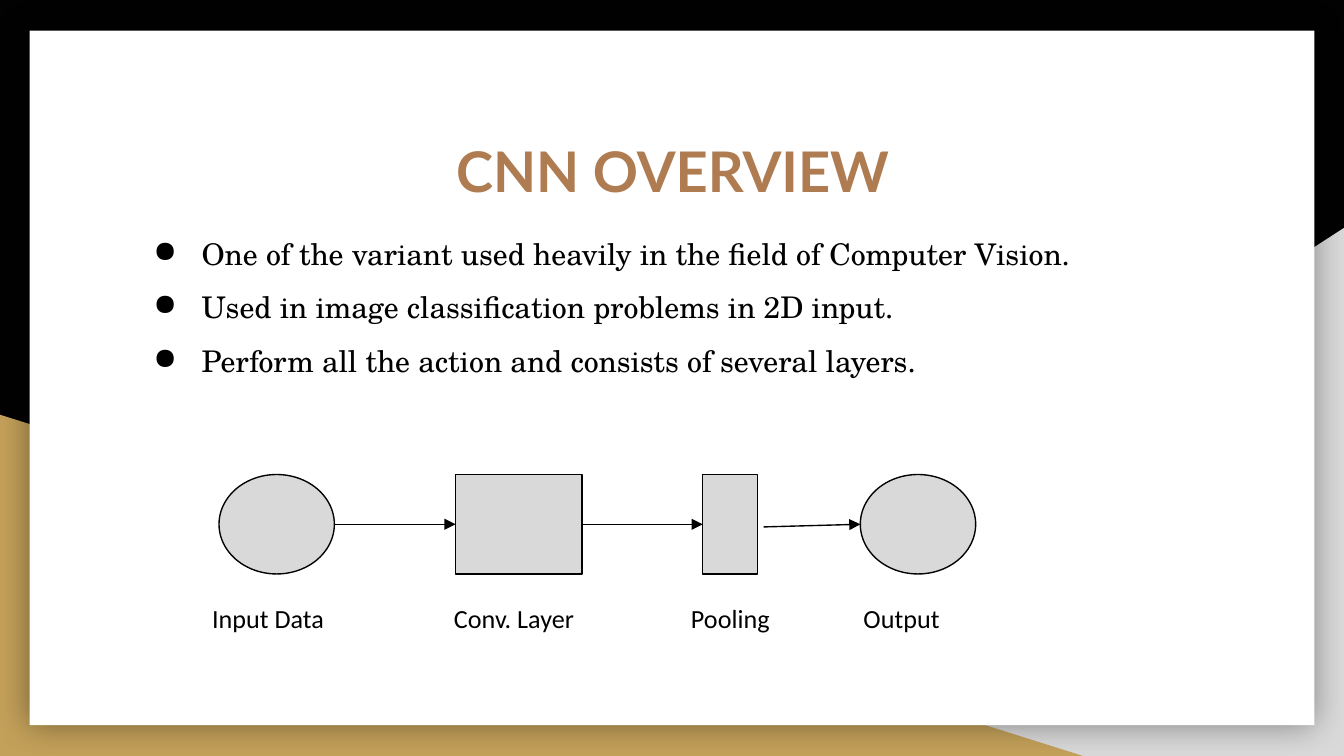
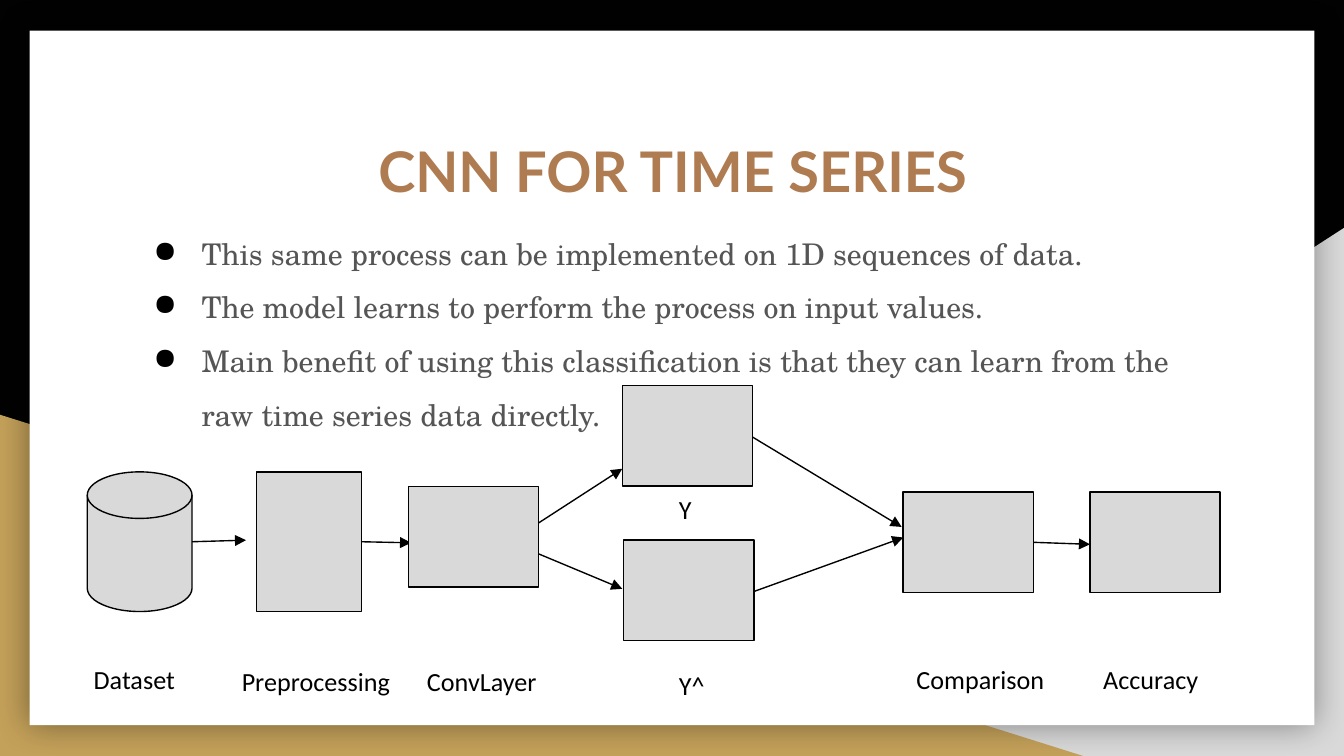
from pptx import Presentation
from pptx.dml.color import RGBColor as RGB
from pptx.enum.shapes import MSO_CONNECTOR as Conn, MSO_SHAPE as Kind
from pptx.enum.text import PP_ALIGN as Align
from pptx.oxml import parse_xml
from pptx.oxml.ns import nsdecls
from pptx.util import Cm, Pt

BLACK, INK, GREY, GOLD, WHITE = "000000", "020202", "D9D9D9", "C4A15A", "FFFFFF"
BROWN, SLATE = "AF7B51", "555555"
OVAL, RECT, DISK = Kind.OVAL, Kind.RECTANGLE, Kind.FLOWCHART_MAGNETIC_DISK


def write(slide, lines, spot, font="Calibri", size=14, color=BLACK, bold=False,
          align=Align.LEFT, space=None, left=0, hang=0, bullet=None):
    frame = slide.shapes.add_textbox(*map(Cm, spot)).text_frame
    frame.word_wrap = True
    for side in ("left", "top", "right", "bottom"):
        setattr(frame, "margin_" + side, Cm(0.25))
    for i, line in enumerate(lines):
        para = frame.add_paragraph() if i else frame.paragraphs[0]
        para.alignment = align
        para.line_spacing = space
        props = para._p.get_or_add_pPr()
        props.set("marL", str(Cm(left)))
        props.set("indent", str(Cm(hang)))
        if bullet:
            props.append(parse_xml(
                f'<a:buClr {nsdecls("a")}><a:srgbClr val="{BLACK}"/></a:buClr>'))
            props.append(parse_xml(f'<a:buChar {nsdecls("a")} char="{bullet}"/>'))
        run = para.add_run()
        run.text = line
        run.font.name, run.font.size, run.font.bold = font, Pt(size), bold
        run.font.color.rgb = RGB.from_string(color)


def draw(slide, kind, spot, fill=GREY, line=INK):
    shape = slide.shapes.add_shape(kind, *map(Cm, spot))
    shape.shadow.inherit = False
    shape.fill.solid()
    shape.fill.fore_color.rgb = RGB.from_string(fill)
    if line:
        shape.line.color.rgb = RGB.from_string(line)
        shape.line.width = Pt(0.75)
    else:
        shape.line.fill.background()
    return shape


# Content: shapes behind the arrows, arrows, shapes in front, labels
TOP, HIGH, MID = 8.97, 1.88, 9.91
pages = [
    dict(
        title="CNN OVERVIEW",
        color=BLACK,
        points=["One of the variant used heavily in the field of Computer Vision.",
                "Used in image classification problems in 2D input.",
                "Perform all the action and consists of several layers."],
        back=[(kind, x, TOP, w, HIGH) for kind, x, w in [
            (OVAL, 4.14, 2.18), (RECT, 8.61, 2.39),
            (RECT, 13.28, 1.04), (OVAL, 16.26, 2.18)]],
        arrows=[(6.32, MID, 8.61, MID), (11, MID, 13.28, MID),
                (14.43, 9.96, 16.26, MID)],
        front=[],
        labels=[(name, x, 11.13, 2.95, left) for name, x, left in [
            ("Input Data", 3.76, 0), ("Conv. Layer", 8.33, 0),
            ("Pooling", 12.14, 0.67), ("Output", 15.62, 0.45)]],
    ),
    dict(
        title="CNN FOR TIME SERIES",
        color=SLATE,
        points=["This same process can be implemented on 1D sequences of data.",
                "The model learns to perform the process on input values.",
                "Main benefit of using this classification is that they can learn "
                "from the raw time series data directly."],
        back=[(DISK, 1.65, 8.92, 1.98, 2.64), (RECT, 4.85, 8.92, 1.98, 2.64)],
        arrows=[(3.63, 10.24, 4.65, 10.21), (6.83, 10.24, 7.77, 10.26),
                (9.63, 10.24, 11.76, 8.86), (9.63, 10.24, 11.76, 11.13),
                (14.22, 8.26, 17.04, 9.96), (14.25, 11.18, 17.07, 10.16),
                (19.23, 10.24, 20.6, 10.29)],
        front=[(RECT, x, y, 2.46, 1.9) for x, y in [
            (11.76, 7.29), (11.79, 10.21), (7.72, 9.2), (17.07, 9.3), (20.6, 9.3)]],
        labels=[("Dataset", 1.4, 12.29, 2.46, 0.12),
                ("Preprocessing", 4.32, 12.32, 3.45, 0),
                ("ConvLayer", 7.72, 12.32, 3.05, 0.1),
                ("Y^", 11.79, 12.4, 2.46, 0.79),
                ("Comparison", 17.07, 12.29, 3.05, 0),
                ("Accuracy", 20.6, 12.29, 2.46, 0),
                ("Y", 11.79, 9.07, 2.46, 0.79)],
    ),
]

deck = Presentation()
deck.slide_width, deck.slide_height = Cm(25.4), Cm(14.29)

for page in pages:
    slide = deck.slides.add_slide(deck.slide_layouts[6])

    # Backdrop: dark ground, two corner bands, white card with a soft shadow
    ground = slide.background.fill
    ground.solid()
    ground.fore_color.rgb = RGB.from_string(INK)
    band = draw(slide, Kind.RIGHT_TRIANGLE, (9.96, 4.31, 15.44, 9.98), GREY, None)
    band._element.spPr.xfrm.set("flipH", "1")
    draw(slide, Kind.RIGHT_TRIANGLE, (0, 7.84, 20.47, 6.45), GOLD, None)
    card = draw(slide, RECT, (0.56, 0.58, 24.28, 13.13), WHITE, None)
    card._element.spPr.find("{*}effectLst").append(parse_xml(
        f'<a:outerShdw {nsdecls("a")} blurRad="{Pt(18)}" dist="0" dir="0">'
        f'<a:srgbClr val="{BLACK}"><a:alpha val="40000"/></a:srgbClr></a:outerShdw>'))

    # Title and bullet points
    write(slide, [page["title"]], (2.29, 2.34, 20.85, 2.64), font="Lato", size=30,
          color=BROWN, bold=True, align=Align.CENTER)
    write(slide, page["points"], (2.29, 3.86, 20.85, 8.46), font="TeX Gyre Schola",
          size=16, color=page["color"], space=1.5, left=1.27, hang=-0.91, bullet="●")

    # Flow diagram
    for kind, *spot in page["back"]:
        draw(slide, kind, spot)
    for ends in page["arrows"]:
        arrow = slide.shapes.add_connector(Conn.STRAIGHT, *map(Cm, ends))
        arrow.line.color.rgb = RGB.from_string(INK)
        arrow.line.width = Pt(0.75)
        arrow.line._get_or_add_ln().append(
            parse_xml(f'<a:tailEnd {nsdecls("a")} type="triangle"/>'))
        arrow._element.spPr.append(parse_xml(f'<a:effectLst {nsdecls("a")}/>'))
    for kind, *spot in page["front"]:
        draw(slide, kind, spot)
    for name, x, y, w, left in page["labels"]:
        write(slide, [name], (x, y, w, 0.97), left=left)

deck.save("out.pptx")
